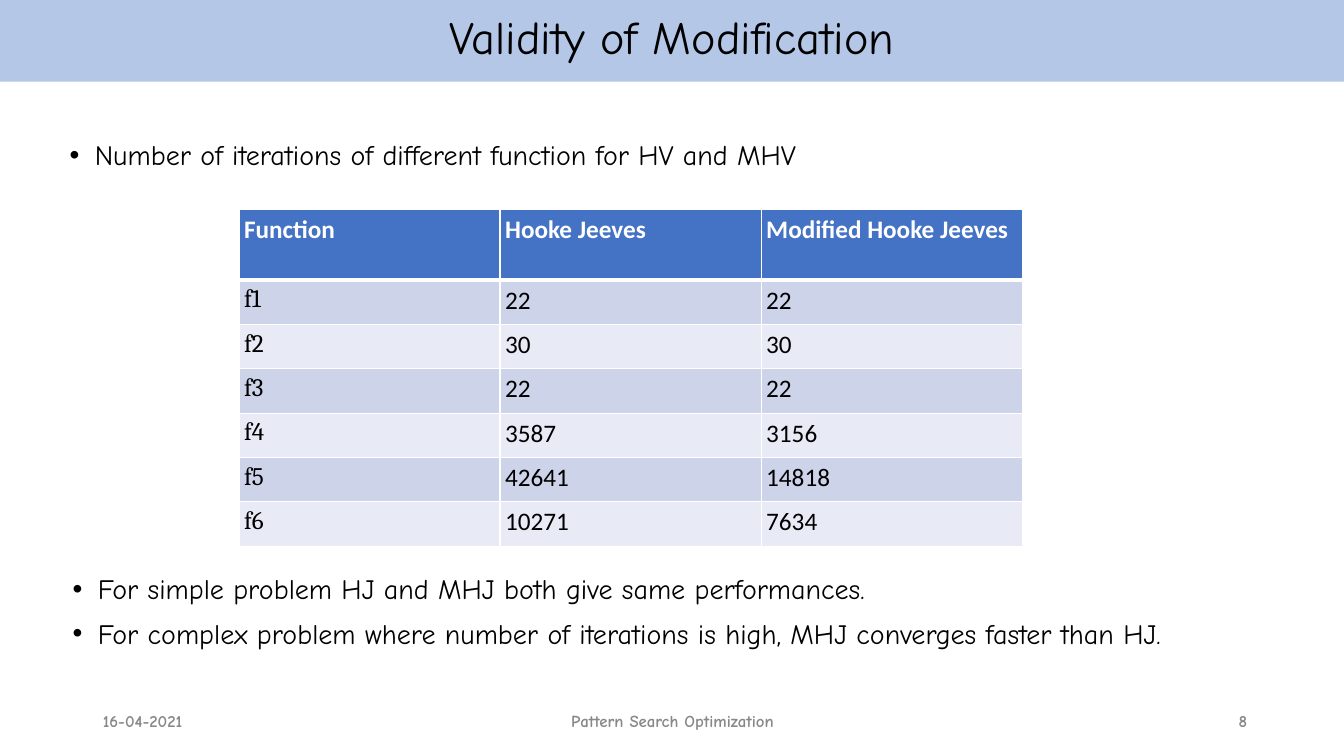
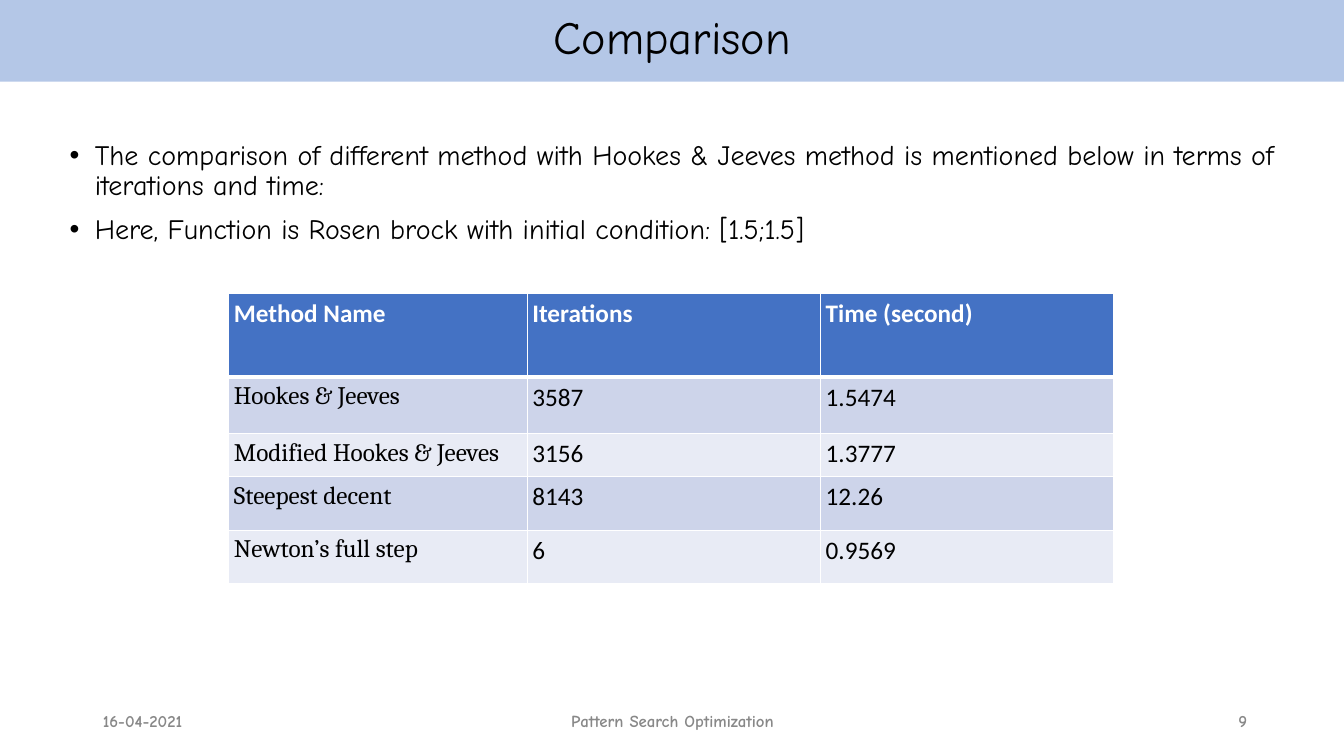
from lxml.etree import SubElement
from pptx import Presentation
from pptx.dml.color import RGBColor
from pptx.enum.text import MSO_ANCHOR, MSO_AUTO_SIZE, PP_ALIGN
from pptx.oxml.ns import qn
from pptx.util import Inches, Pt

# Shared look
COLORS = {
    "band": "B4C7E7", "ink": "000000", "footer": "888888", "white": "FFFFFF",
    "header": "4472C4", "odd_row": "CDD4EA", "even_row": "E8EBF5",
}
TEXT_STYLES = {
    "title": {"name": "Comic Neue", "size": Pt(33), "bold": False, "color": "ink"},
    "bullet": {"name": "Comic Neue", "size": Pt(20), "bold": False, "color": "ink"},
    "footer": {"name": "Comic Neue", "size": Pt(12), "bold": True, "color": "footer"},
    "header": {"name": "Calibri", "size": Pt(18), "bold": True, "color": "white"},
    "label": {"name": "Cambria", "size": Pt(18), "bold": False, "color": "ink"},
    "value": {"name": "Calibri", "size": Pt(18), "bold": False, "color": "ink"},
}
BULLET_FORMAT = {"line_spacing": 0.9, "space_before": Pt(10), "space_after": Pt(0),
                 "alignment": PP_ALIGN.LEFT}
TITLE_FORMAT = {"line_spacing": 0.9, "space_before": Pt(0), "alignment": PP_ALIGN.CENTER}
TITLE_BOX = (-0.02, -0.02, 13.37, 0.83)
INSET = Inches(0.05)
BULLET_INDENT = Inches(0.25)
FOOTER_TOP, FOOTER_HEIGHT = 6.99, 0.32
DATE = "16-04-2021"
FOOTER = "Pattern Search Optimization"

# Content: one layout per number of lists
LAYOUT_NAMES = {1: "Title and Content", 2: "Two Content"}
SLIDES = [
    {
        "title": "Validity of Modification",
        "number": "8",
        "lists": [
            ((0.64, 1.35, 8.21, 0.49),
             ["Number of iterations of different function for HV and MHV"]),
            ((0.67, 5.66, 12, 1.22),
             ["For simple problem HJ and MHJ both give same performances.",
              "For complex problem where number of iterations is high, "
              "MHJ converges faster than HJ."]),
        ],
        "table": {
            "corner": (2.37, 2.08),
            "widths": [2.59] * 3,
            "heights": [0.7] + [0.44] * 6,
            "rows": [
                ("Function", "Hooke Jeeves", "Modified Hooke Jeeves"),
                ("f1", "22", "22"),
                ("f2", "30", "30"),
                ("f3", "22", "22"),
                ("f4", "3587", "3156"),
                ("f5", "42641", "14818"),
                ("f6", "10271", "7634"),
            ],
        },
    },
    {
        "title": "Comparison",
        "number": "9",
        "lists": [
            ((0.64, 1.35, 12.26, 1.33),
             ["The comparison of different method with Hookes & Jeeves method "
              "is mentioned below in terms of iterations and time:",
              "Here, Function is Rosen brock with initial condition: [1.5;1.5]"]),
        ],
        "table": {
            "corner": (2.27, 2.91),
            "widths": [2.96, 2.91, 2.91],
            "heights": [0.83, 0.56, 0.43, 0.53, 0.53],
            "rows": [
                ("Method Name", "Iterations", "Time (second)"),
                ("Hookes & Jeeves", "3587", "1.5474"),
                ("Modified Hookes & Jeeves", "3156", "1.3777"),
                ("Steepest decent", "8143", "12.26"),
                ("Newton’s full step", "6", "0.9569"),
            ],
        },
    },
]


def color(name):
    return RGBColor.from_string(COLORS[name])


def set_attributes(target, values):
    for name, value in values.items():
        setattr(target, name, value)


def write_paragraph(paragraph, text, style, paragraph_format=None):
    run = paragraph.add_run()
    run.text = text
    values = dict(TEXT_STYLES[style])
    run.font.color.rgb = color(values.pop("color"))
    set_attributes(run.font, values)
    set_attributes(paragraph, paragraph_format or {})


def set_insets(target):
    for side in ("left", "top", "right", "bottom"):
        setattr(target, f"margin_{side}", INSET)


def prepare_frame(shape, anchor, wrap=True):
    frame = shape.text_frame
    set_insets(frame)
    set_attributes(frame, {"auto_size": MSO_AUTO_SIZE.NONE, "word_wrap": wrap,
                           "vertical_anchor": anchor})
    return frame


def place(shape, box):
    set_attributes(shape, dict(zip(("left", "top", "width", "height"), map(Inches, box))))


def add_title(slide, text):
    title = slide.shapes.title
    place(title, TITLE_BOX)
    title.fill.solid()
    title.fill.fore_color.rgb = color("band")
    frame = prepare_frame(title, MSO_ANCHOR.MIDDLE)
    write_paragraph(frame.paragraphs[0], text, "title", TITLE_FORMAT)


def fill_list(placeholder, box, items):
    place(placeholder, box)
    frame = prepare_frame(placeholder, MSO_ANCHOR.TOP)
    for index, item in enumerate(items):
        paragraph = frame.add_paragraph() if index else frame.paragraphs[0]
        write_paragraph(paragraph, item, "bullet", BULLET_FORMAT)
        properties = paragraph._p.get_or_add_pPr()
        properties.set("marL", str(BULLET_INDENT))
        properties.set("indent", str(-BULLET_INDENT))
        SubElement(properties, qn("a:buFont"), typeface="Arial")
        SubElement(properties, qn("a:buChar"), char="•")


def add_borders(cell, top, bottom):
    properties = cell._tc.get_or_add_tcPr()
    for side, points in (("L", 1), ("R", 1), ("T", top), ("B", bottom)):
        line = SubElement(properties, qn(f"a:ln{side}"), w=str(Pt(points)))
        fill = SubElement(line, qn("a:solidFill"))
        SubElement(fill, qn("a:srgbClr"), val=COLORS["white"])


def add_data_table(slide, corner, widths, heights, rows):
    size = (sum(widths), sum(heights))
    table = slide.shapes.add_table(len(rows), len(widths),
                                   *map(Inches, corner + size)).table
    for column, width in zip(table.columns, widths):
        column.width = Inches(width)
    for row, height in zip(table.rows, heights):
        row.height = Inches(height)
    for row_index, texts in enumerate(rows):
        row_fill = "odd_row" if row_index % 2 else "even_row"
        for column_index, text in enumerate(texts):
            cell = table.cell(row_index, column_index)
            set_insets(cell)
            # A thick rule divides the header from the body
            add_borders(cell, top=3 if row_index == 1 else 1,
                        bottom=3 if row_index == 0 else 1)
            cell.fill.solid()
            cell.fill.fore_color.rgb = color(row_fill if row_index else "header")
            body_style = "value" if column_index else "label"
            write_paragraph(cell.text_frame.paragraphs[0], text,
                            body_style if row_index else "header")


def add_footers(slide, number):
    footers = [
        (DATE, 0.97, 2.9, PP_ALIGN.LEFT, True),
        (FOOTER, 4.47, 4.4, PP_ALIGN.CENTER, True),
        (number, 12.2, 0.22, PP_ALIGN.RIGHT, False),
    ]
    for text, left, width, alignment, wrap in footers:
        box = slide.shapes.add_textbox(
            *map(Inches, (left, FOOTER_TOP, width, FOOTER_HEIGHT)))
        frame = prepare_frame(box, MSO_ANCHOR.MIDDLE, wrap)
        write_paragraph(frame.paragraphs[0], text, "footer", {"alignment": alignment})


def build_slide(presentation, content):
    lists = content["lists"]
    layout = presentation.slide_layouts.get_by_name(LAYOUT_NAMES[len(lists)])
    slide = presentation.slides.add_slide(layout)
    add_title(slide, content["title"])
    bodies = [shape for shape in slide.placeholders if shape.placeholder_format.idx]
    for body, (box, items) in zip(bodies, lists):
        fill_list(body, box, items)
    add_data_table(slide, **content["table"])
    add_footers(slide, content["number"])


def main():
    presentation = Presentation()
    presentation.slide_width = Inches(13.33)
    presentation.slide_height = Inches(7.5)
    for content in SLIDES:
        build_slide(presentation, content)
    presentation.save("out.pptx")


if __name__ == "__main__":
    main()
